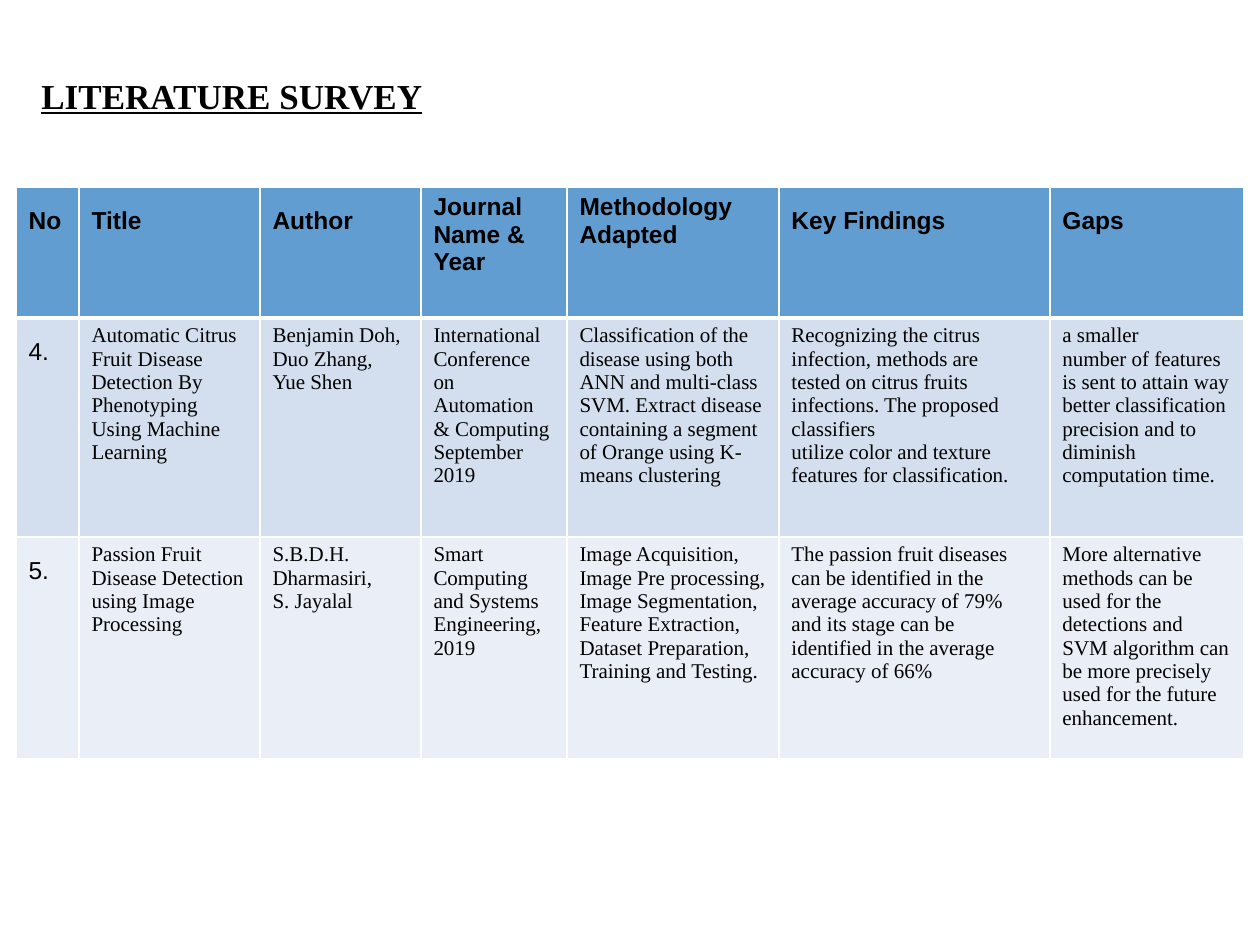
import pptx
import pptx.util
import pptx.dml.color
import pptx.oxml
import pptx.oxml.ns
import lxml.etree

PX = 914400 // 126
SERIF, SANS = "Times New Roman", "Arial"
BLACK, WHITE = "000000", "FFFFFF"
ROW_FILLS = ["629DD1", "D3DFEE", "EAEFF7"]
COLS = [63, 181, 161, 146, 212, 271, 194]
ROWS = [131, 219, 222]

# Each cell is a list of paragraphs
CELLS = [
    [["No"], ["Title"], ["Author"], ["Journal Name & Year"],
     ["Methodology Adapted"], ["Key Findings"], ["Gaps"]],
    [["4."],
     ["Automatic Citrus Fruit Disease ",
      "Detection By Phenotyping Using Machine Learning "],
     ["Benjamin Doh,", "Duo Zhang, ", "Yue Shen"],
     ["International Conference on ",
      "Automation & Computing September 2019"],
     ["Classification of the disease using both ",
      "ANN and multi-class SVM. Extract disease containing a segment "
      "of Orange using K-means clustering"],
     ["Recognizing the citrus infection, methods are ",
      "tested on citrus fruits infections. The proposed classifiers ",
      "utilize color and texture features for classification."],
     ["a smaller ",
      "number of features is sent to attain way better classification ",
      "precision and to diminish computation time. "]],
    [["5."],
     ["Passion Fruit Disease Detection using Image Processing"],
     ["S.B.D.H. Dharmasiri, ", "S. Jayalal"],
     ["Smart Computing and Systems Engineering, 2019"],
     ["Image Acquisition, Image Pre processing, Image Segmentation, "
      "Feature Extraction, Dataset Preparation, ",
      "Training and Testing. "],
     ["The passion fruit diseases can be identified in the average accuracy "
      "of 79% and its stage can be identified in the average accuracy of 66%"],
     ["More alternative methods can be used for the detections and SVM "
      "algorithm can be more precisely used for the future enhancement."]],
]
TALL_HEADINGS = {0, 1, 2, 5, 6}


def px(n):
    return pptx.util.Emu(n * PX)


def color(value):
    return pptx.dml.color.RGBColor.from_string(value)


def write(tf, lines, size, font, bold=False, underline=False, spacing=None):
    for i, line in enumerate(lines):
        p = tf.paragraphs[0] if i == 0 else tf.add_paragraph()
        if spacing:
            p.line_spacing = spacing
        r = p.add_run()
        r.text = line
        r.font.size = pptx.util.Pt(size)
        r.font.name = font
        r.font.bold = bold
        r.font.underline = underline
        r.font.color.rgb = color(BLACK)


def set_borders(cell, widths):
    """Put the border lines ahead of the fill, as the schema orders them."""
    tc_pr = cell._tc.get_or_add_tcPr()
    qn = pptx.oxml.ns.qn
    for i, (side, width) in enumerate(widths.items()):
        ln = lxml.etree.Element(qn("a:ln" + side), w=str(pptx.util.Pt(width)))
        fill = lxml.etree.SubElement(ln, qn("a:solidFill"))
        lxml.etree.SubElement(fill, qn("a:srgbClr"), val=WHITE)
        tc_pr.insert(i, ln)


def add_title(slide, left, top, width, height):
    box = slide.shapes.add_textbox(px(left), px(top), px(width), px(height))
    box.text_frame.word_wrap = True
    write(box.text_frame, ["LITERATURE SURVEY"], 20, SERIF, True, True)


def add_survey_table(slide, left, top):
    frame = slide.shapes.add_table(len(ROWS), len(COLS), px(left), px(top),
                                   px(sum(COLS)), px(sum(ROWS)))
    table = frame.table
    for column, width in zip(table.columns, COLS):
        column.width = px(width)
    for i, height in enumerate(ROWS):
        table.rows[i].height = px(height)
        for j, lines in enumerate(CELLS[i]):
            cell = table.cell(i, j)
            cell.fill.solid()
            cell.fill.fore_color.rgb = color(ROW_FILLS[i])
            set_borders(cell, {"L": 1, "R": 1, "T": 3 if i == 1 else 1,
                               "B": 3 if i == 0 else 1})
            header = i == 0
            label = header or j == 0
            tall = j in TALL_HEADINGS if header else j == 0
            write(cell.text_frame, lines, 14 if label else 12,
                  SANS if label else SERIF, header,
                  spacing=1.5 if tall else None)


prs = pptx.Presentation()
prs.slide_width, prs.slide_height = px(1260), px(945)
slide = prs.slides.add_slide(prs.slide_layouts[6])
add_survey_table(slide, 16, 187)
add_title(slide, 29, 68, 630, 55)
prs.save("out.pptx")
